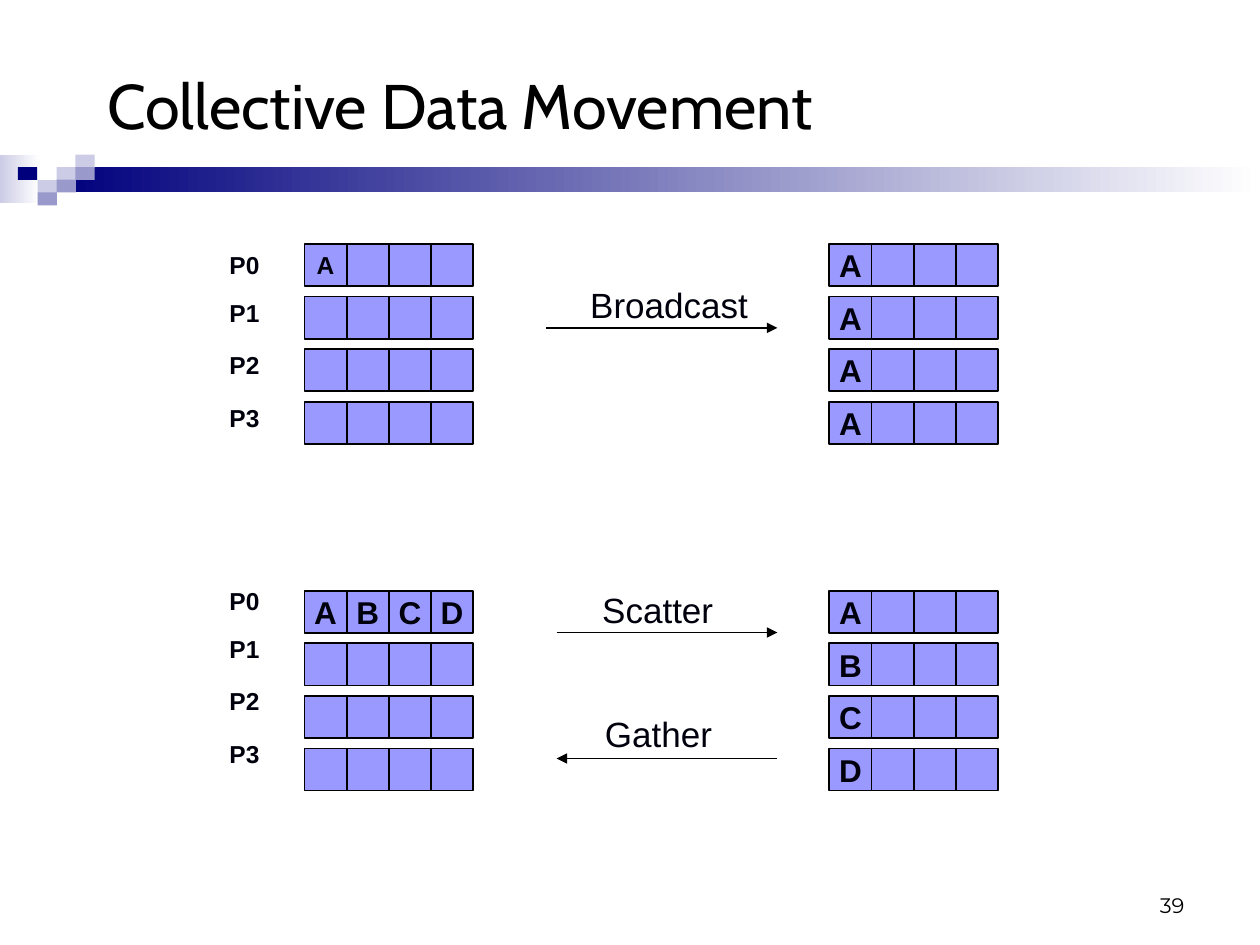
from lxml import etree
from pptx import Presentation
from pptx.dml.color import RGBColor
from pptx.enum.shapes import MSO_CONNECTOR, MSO_SHAPE
from pptx.enum.text import MSO_ANCHOR, PP_ALIGN
from pptx.oxml.ns import qn
from pptx.util import Cm, Pt

RECT = MSO_SHAPE.RECTANGLE
STRAIGHT = MSO_CONNECTOR.STRAIGHT
LEFT, CENTER, RIGHT = PP_ALIGN.LEFT, PP_ALIGN.CENTER, PP_ALIGN.RIGHT
TOP, MIDDLE, BOTTOM = MSO_ANCHOR.TOP, MSO_ANCHOR.MIDDLE, MSO_ANCHOR.BOTTOM

NAVY, LILAC, PALE = "00007D", "9999CC", "CCCCE6"
CELL_FILL, INK, BLACK, WHITE = "9999FF", "00000D", "000000", "FFFFFF"
CELL, PITCH = 0.85, 1.06
SEND_X, RECEIVE_X = 6.14, 16.72
BROADCAST_Y, SCATTER_Y = 4.92, 11.91
LABEL_STEPS = (0, 0.97, 2.02, 3.08)


def color(value):
    return RGBColor.from_string(value)


def set_text(s, text, size, font="Arial", ink=INK, bold=False,
             align=CENTER, anchor=TOP, wrap=False):
    tf = s.text_frame
    tf.text = text
    tf.word_wrap = wrap
    tf.vertical_anchor = anchor
    p = tf.paragraphs[0]
    p.alignment = align
    r = p.runs[0]
    r.font.name = font
    r.font.size = Pt(size)
    r.font.bold = bold
    r.font.color.rgb = color(ink)
    return p


def add_rect(slide, x, y, w, h, fill, fade_to=None):
    s = slide.shapes.add_shape(RECT, Cm(x), Cm(y), Cm(w), Cm(h))
    s.shadow.inherit = False
    s.line.fill.background()
    if fade_to:
        s.fill.gradient()
        s.fill.gradient_angle = 0
        for stop, value in zip(s.fill.gradient_stops, (fill, fade_to)):
            stop.color.rgb = color(value)
    else:
        s.fill.solid()
        s.fill.fore_color.rgb = color(fill)
    return s


def add_text(slide, x, y, w, h, text, size, **style):
    s = slide.shapes.add_textbox(Cm(x), Cm(y), Cm(w), Cm(h))
    return set_text(s, text, size, **style)


def add_arrow(slide, x1, x2, y):
    s = slide.shapes.add_connector(STRAIGHT, Cm(x1), Cm(y), Cm(x2), Cm(y))
    s.line.color.rgb = color(BLACK)
    s.line.width = Pt(1)
    etree.SubElement(s.line._get_or_add_ln(), qn("a:tailEnd"), type="triangle")
    etree.SubElement(s._element.spPr, qn("a:effectLst"))


def add_buffers(slide, x, y, rows, size=18):
    for i, row in enumerate(rows):
        for j, letter in enumerate(row.ljust(4)):
            s = add_rect(slide, x + j * CELL, y + i * PITCH, CELL, CELL, CELL_FILL)
            s.line.color.rgb = color(BLACK)
            s.line.width = Pt(1)
            if letter != " ":
                set_text(s, letter, size, bold=True, anchor=MIDDLE)


def add_process_labels(slide, y):
    for i, step in enumerate(LABEL_STEPS):
        add_text(slide, 4.37, y + step, 1.12, 0.86, f"P{i}", 14, bold=True)


def add_banner(slide):
    add_rect(slide, 0, 3.12, 0.8, 0.97, PALE, WHITE)
    add_rect(slide, 1.14, 3.37, 24.26, 0.51, NAVY, WHITE)
    squares = [
        (1.14, 3.37, PALE), (1.52, 3.12, PALE), (1.52, 3.37, LILAC),
        (0.76, 3.63, PALE), (0.36, 3.37, NAVY), (1.14, 3.62, LILAC),
        (0.76, 3.88, LILAC),
    ]
    for x, y, fill in squares:
        add_rect(slide, x, y, 0.39, 0.26, fill)


def main():
    prs = Presentation()
    prs.slide_width, prs.slide_height = Cm(25.4), Cm(19.05)
    slide = prs.slides.add_slide(prs.slide_layouts[6])

    add_banner(slide)
    title = add_text(slide, 1.91, 1.07, 21.39, 2.26, "Collective Data Movement", 36,
                     font="Cabin", ink=BLACK, align=LEFT, anchor=MIDDLE, wrap=True)
    title.line_spacing = 0.9

    add_buffers(slide, SEND_X, BROADCAST_Y, ["A", "", "", ""], size=14)
    add_buffers(slide, RECEIVE_X, BROADCAST_Y, ["A"] * 4)
    add_buffers(slide, SEND_X, SCATTER_Y, ["ABCD", "", "", ""])
    add_buffers(slide, RECEIVE_X, SCATTER_Y, "ABCD")
    add_process_labels(slide, BROADCAST_Y)
    add_process_labels(slide, 11.69)

    add_arrow(slide, 11.01, 15.67, 6.61)
    add_arrow(slide, 11.22, 15.67, 12.75)
    add_arrow(slide, 15.67, 11.22, 15.29)
    add_text(slide, 11.54, 5.59, 3.9, 1.11, "Broadcast", 20)
    add_text(slide, 11.79, 11.73, 2.94, 1.11, "Scatter", 20)
    add_text(slide, 11.84, 14.23, 2.87, 1.11, "Gather", 20)

    add_text(slide, 18.2, 17.35, 5.93, 1.27, "39", 12, font="Montserrat",
             ink=BLACK, align=RIGHT, anchor=BOTTOM, wrap=True)
    prs.save("out.pptx")


if __name__ == "__main__":
    main()
